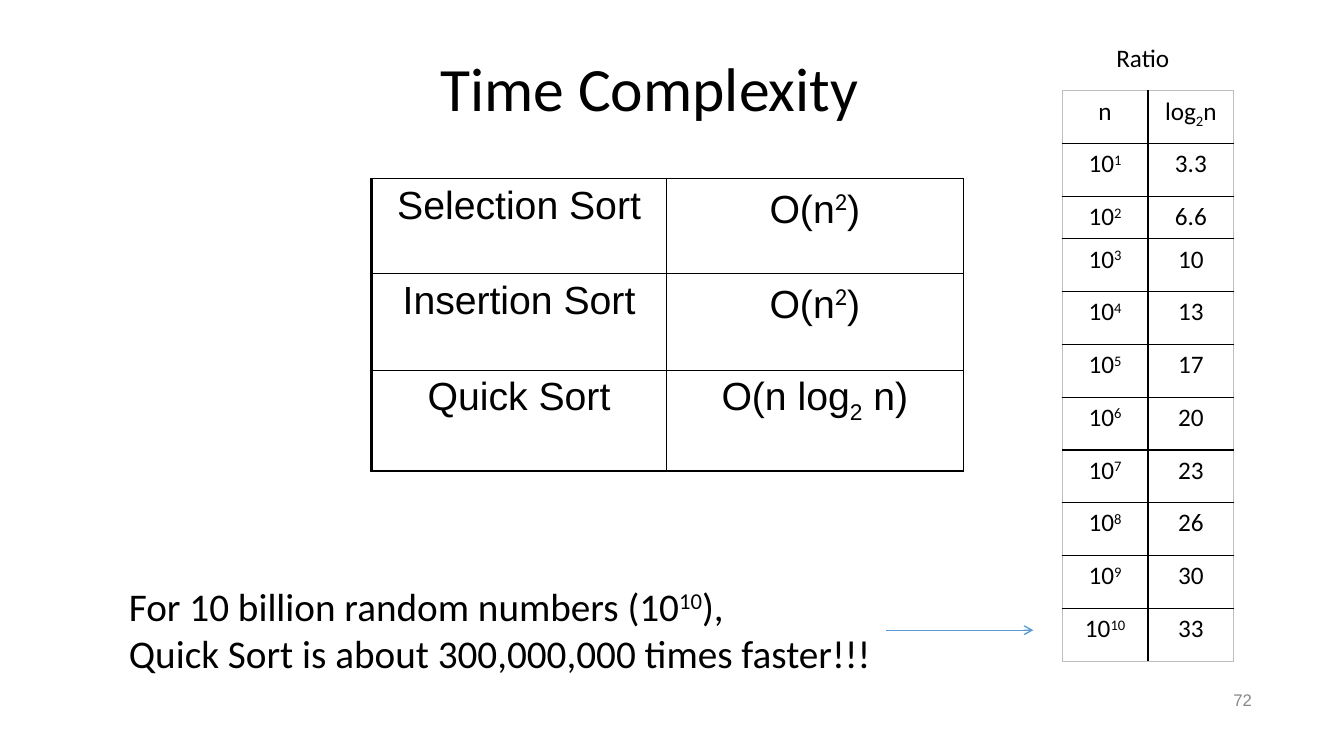
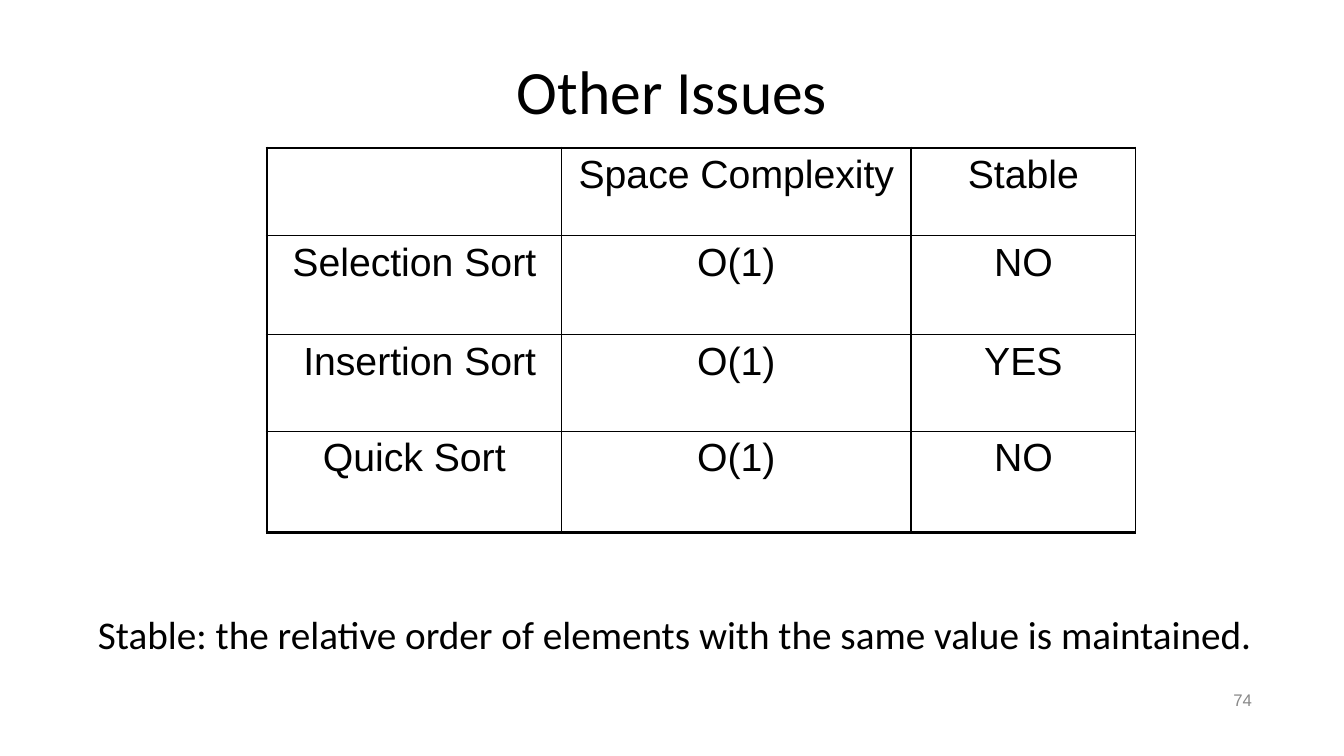
from pptx import Presentation
from pptx.dml.color import RGBColor
from pptx.enum.shapes import MSO_CONNECTOR
from pptx.enum.text import MSO_ANCHOR, PP_ALIGN
from pptx.oxml.ns import qn
from pptx.util import Cm, Pt
from lxml import etree

LINE = MSO_CONNECTOR.STRAIGHT
MIDDLE = MSO_ANCHOR.MIDDLE
LEFT, CENTER, RIGHT = PP_ALIGN.LEFT, PP_ALIGN.CENTER, PP_ALIGN.RIGHT

BLACK = RGBColor(0x00, 0x00, 0x00)
GRAY = RGBColor(0x88, 0x88, 0x88)
PALE = RGBColor(0xBF, 0xBF, 0xBF)
BLUE = RGBColor(0x5B, 0x9B, 0xD5)
BODY, GRID = "Calibri", "Arial"
PAD = 0.13
THIN, THICK = (1, BLACK), (2.25, BLACK)
EDGE = (1, PALE)

# In all texts "|" parts the runs; a run that starts with ^ is raised, with _ lowered.
TIMES = [
    ("Selection Sort", "O(n|^2|)"),
    ("Insertion Sort", "O(n|^2|)"),
    ("Quick Sort", "O(n log|_2| n)"),
]
LOGS = ["3.3", "6.6", "10", "13", "17", "20", "23", "26", "30", "33"]
RATIOS = [("n", "log|_2|n")] + [(f"10|^{i}", log) for i, log in enumerate(LOGS, 1)]
ISSUES = [
    ("", "Space Complexity", "Stable"),
    ("Selection Sort", "O(1)", "NO"),
    (" Insertion Sort", "O(1)", "YES"),
    ("Quick Sort", "O(1)", "NO"),
]
SPEED = [
    "For 10 billion random numbers (10|^10|),",
    "Quick Sort is about 300,000,000 times faster!!!",
]
STABLE = ["Stable: the relative order of elements with the same value is maintained."]


def write(para, text, size, font, color=BLACK, align=LEFT, raised=None):
    """Fill a paragraph; raised holds size, font and baseline of raised runs."""
    para.alignment = align
    up = raised or (size, font, 30)
    for part in filter(None, text.split("|")):
        run = para.add_run()
        run.text = part.lstrip("^_")
        pt, face, base = {"^": up, "_": (size, font, -25)}.get(part[0], (size, font, 0))
        run.font.size, run.font.name = Pt(pt), face
        run.font.color.rgb = color
        if base:
            run.font._element.set("baseline", str(base * 1000))


def inset(frame, side=PAD, top=PAD):
    frame.margin_left = frame.margin_right = Cm(side)
    frame.margin_top = frame.margin_bottom = Cm(top)


def label(slide, box, lines, size, font=BODY, color=BLACK, align=LEFT, wrap=False, pad=PAD):
    frame = slide.shapes.add_textbox(*map(Cm, box)).text_frame
    frame.word_wrap = wrap
    inset(frame, pad, pad)
    for i, line in enumerate(lines):
        para = frame.add_paragraph() if i else frame.paragraphs[0]
        write(para, line, size, font, color, align)
    return frame


def border(cell, side, width, color):
    props = cell._tc.get_or_add_tcPr()
    line = etree.SubElement(props, qn(f"a:ln{side}"), w=str(Pt(width)))
    fill = etree.SubElement(line, qn("a:solidFill"))
    etree.SubElement(fill, qn("a:srgbClr"), val=str(color))


def grid(slide, spot, cols, rows, data, outer, size, font, side=PAD, gap=0, raised=None):
    """Add a table; outer gives the border of each outside edge that is not thin."""
    box = (*spot, sum(cols), sum(rows))
    table = slide.shapes.add_table(len(rows), len(cols), *map(Cm, box)).table
    table.first_row = table.horz_banding = False
    for col, width in zip(table.columns, cols):
        col.width = Cm(width)
    for row, height in zip(table.rows, rows):
        row.height = Cm(height)
    for r, texts in enumerate(data):
        for c, text in enumerate(texts):
            cell = table.cell(r, c)
            inset(cell, side)
            para = cell.text_frame.paragraphs[0]
            para.space_before = Pt(gap)
            write(para, text, size, font, align=CENTER, raised=raised)
            outside = {"L": c == 0, "R": c == len(cols) - 1,
                       "T": r == 0, "B": r == len(rows) - 1}
            for edge, out in outside.items():
                border(cell, edge, *(outer.get(edge, THIN) if out else THIN))
            cell.fill.background()


def sorts(slide, spot, cols, rows, data, heavy):
    outer = {edge: THICK for edge in heavy}
    grid(slide, spot, cols, rows, data, outer, 28, GRID, gap=6, raised=(30, BODY, 32))


def arrow(slide, start, end):
    link = slide.shapes.add_connector(LINE, *map(Cm, start + end))
    link.line.color.rgb = BLUE
    link.line.width = Pt(1)
    etree.SubElement(link.line._get_or_add_ln(), qn("a:tailEnd"), type="arrow")
    etree.SubElement(link._element.spPr, qn("a:effectLst"))


def page(deck, title, box, number):
    slide = deck.slides.add_slide(deck.slide_layouts[5])
    head = slide.shapes.title
    head.left, head.top, head.width, head.height = map(Cm, box)
    frame = head.text_frame
    frame.vertical_anchor = MIDDLE
    inset(frame)
    write(frame.paragraphs[0], title, 44, BODY, align=CENTER)
    frame.paragraphs[0].line_spacing = 0.9
    foot = label(slide, (23.93, 17.27, 7.62, 0.74), [number], 12, GRID, GRAY, RIGHT, True, 0)
    foot.vertical_anchor = MIDDLE
    return slide


def main():
    deck = Presentation()
    deck.slide_width, deck.slide_height = Cm(33.87), Cm(19.05)

    slide = page(deck, "Time Complexity", (9.37, 0.94, 14, 2.72), "72")
    sorts(slide, (9.37, 4.5), [7.42, 7.49], [2.4, 2.43, 2.54], TIMES, "LB")
    label(slide, (3.12, 14.55, 19.2, 2.64), SPEED, 28)
    heights = [1.33] * len(RATIOS)
    heights[2] = 1.07
    grid(slide, (26.77, 2.29), [2.16] * 2, heights, RATIOS,
         dict.fromkeys("LRTB", EDGE), 18, BODY, side=0.25)
    arrow(slide, (22.33, 15.88), (26.04, 15.88))
    label(slide, (27.86, 0.94, 2.18, 1.02), [" Ratio"], 18, wrap=True)

    slide = page(deck, "Other Issues", (2.34, 1.02, 29.2, 2.72), "74")
    sorts(slide, (6.73, 3.73), [7.42, 8.81, 5.66], [2.21, 2.49, 2.44, 2.54], ISSUES, "LTB")
    label(slide, (2.34, 15.24, 29.74, 1.45), STABLE, 28)

    deck.save("out.pptx")


if __name__ == "__main__":
    main()
